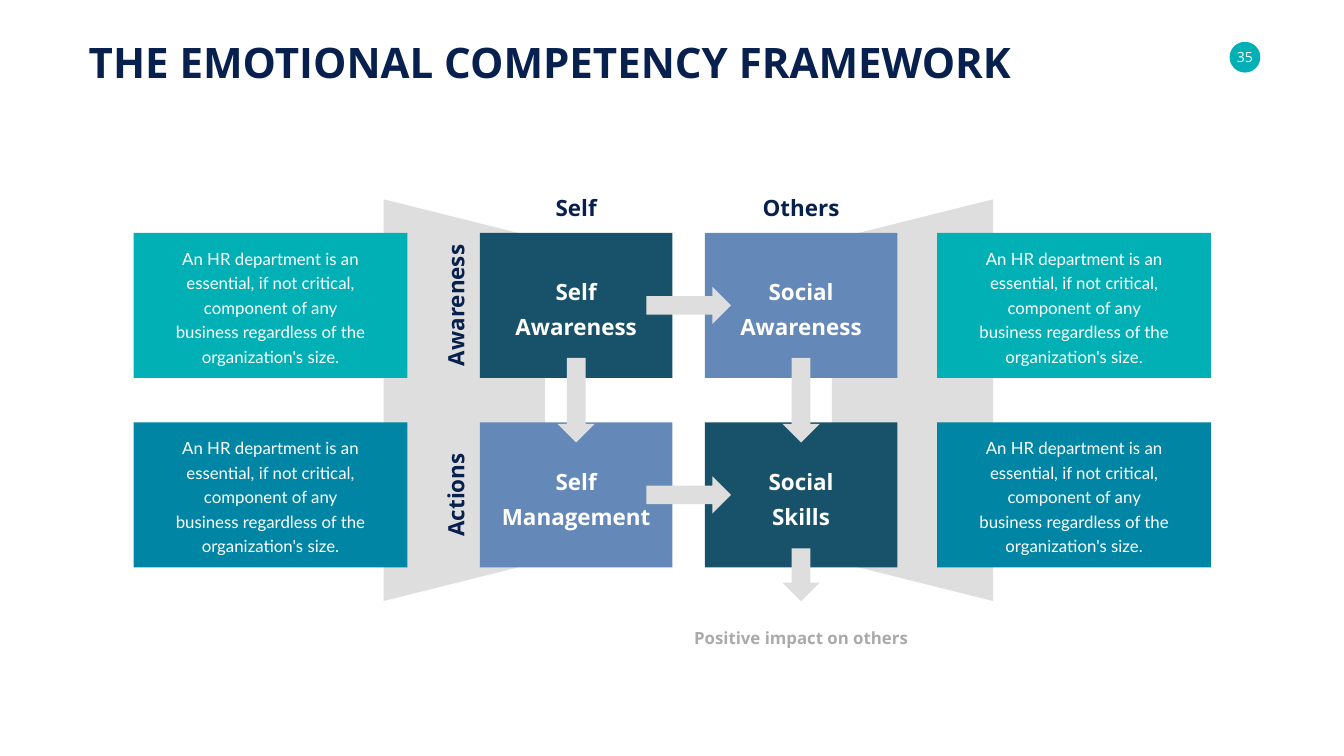
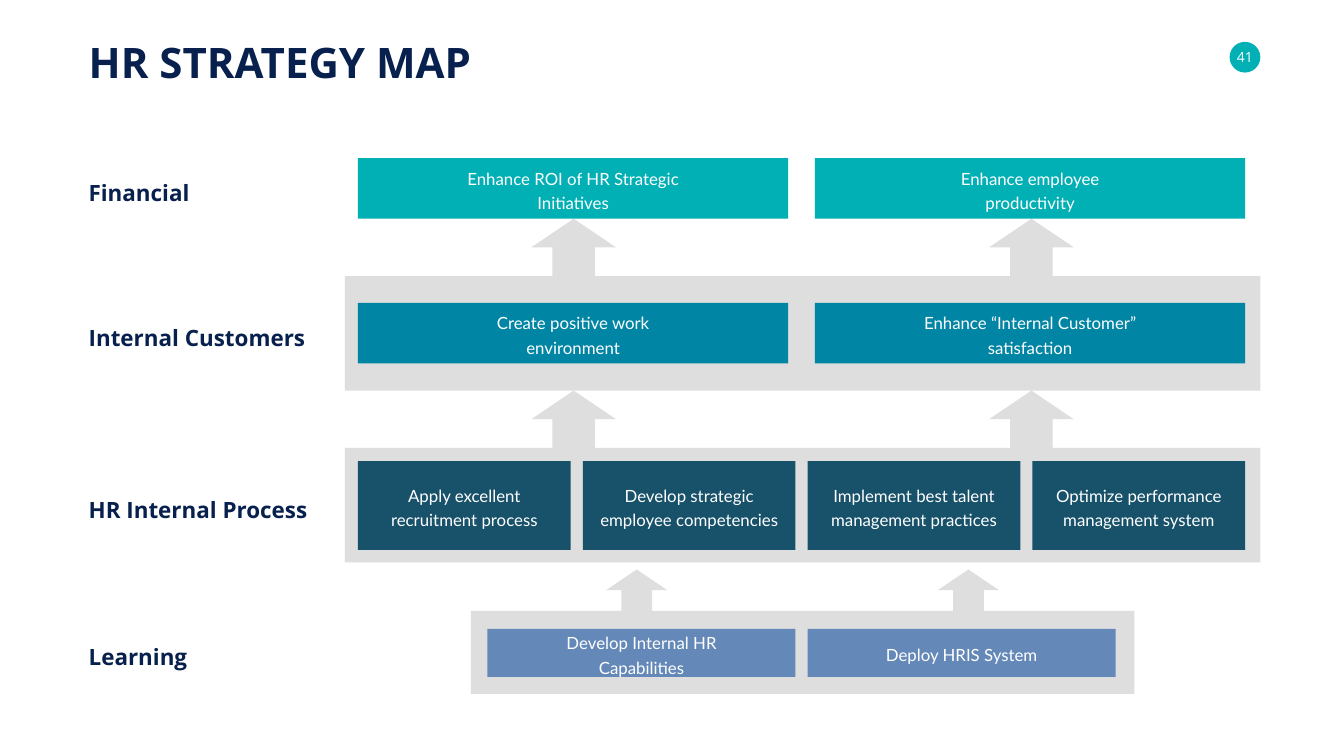
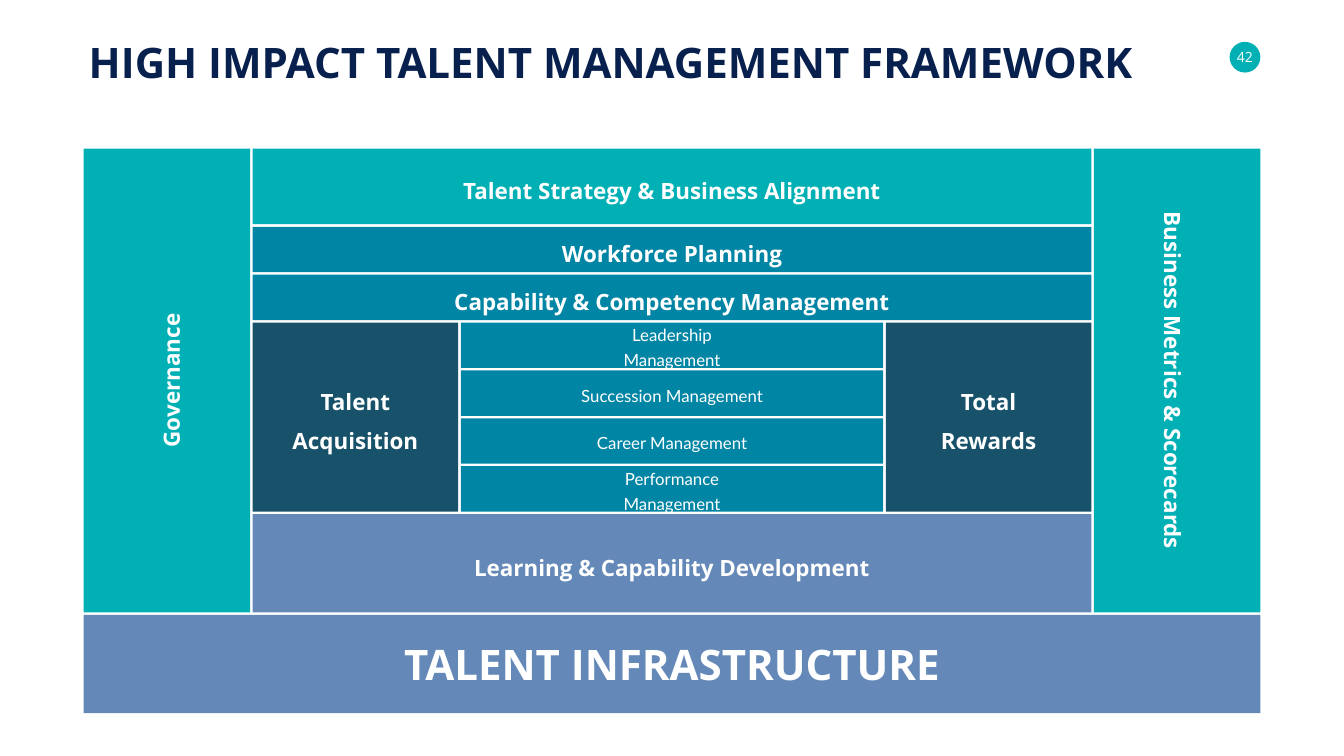
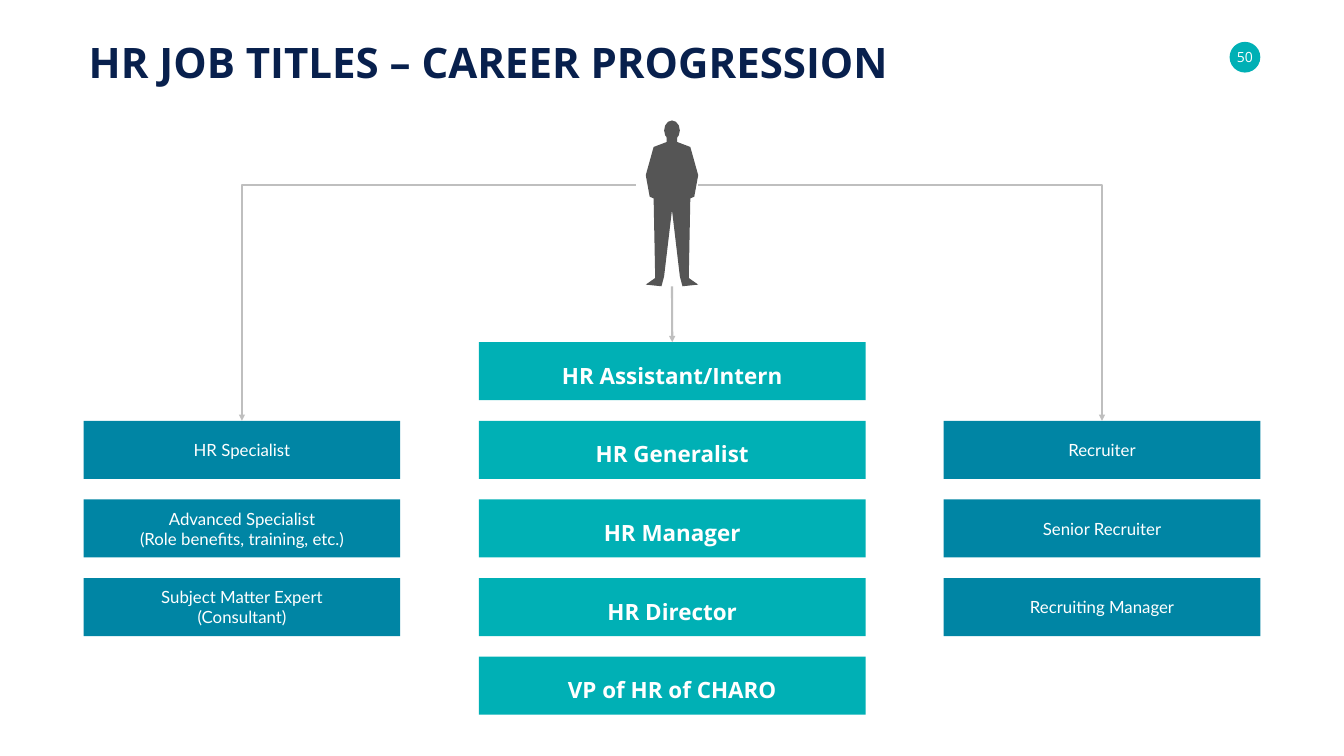
from typing import NamedTuple

from lxml import etree
from pptx import Presentation
from pptx.dml.color import RGBColor
from pptx.enum.shapes import MSO_CONNECTOR, MSO_SHAPE
from pptx.enum.text import MSO_ANCHOR, PP_ALIGN
from pptx.oxml.ns import qn
from pptx.util import Inches, Pt

RECT, OVAL, TRAP = MSO_SHAPE.RECTANGLE, MSO_SHAPE.OVAL, MSO_SHAPE.TRAPEZOID
DOWN, RIGHT = MSO_SHAPE.DOWN_ARROW, MSO_SHAPE.RIGHT_ARROW
ELBOW, STRAIGHT = MSO_CONNECTOR.ELBOW, MSO_CONNECTOR.STRAIGHT
TOP, MIDDLE, BOTTOM = MSO_ANCHOR.TOP, MSO_ANCHOR.MIDDLE, MSO_ANCHOR.BOTTOM
START, CENTER = PP_ALIGN.LEFT, PP_ALIGN.CENTER


class Style(NamedTuple):
    font: str
    size: int
    bold: bool = False
    line: int = 0
    before: int = 0


class Theme:
    navy, white, ash = "08204D", "FFFFFF", "AAAAAA"
    teal, blue, deep, soft = "00B0B5", "0085A4", "18526A", "6488B7"
    pale, rule, dark = "DDDEDD", "BFBFBF", "555555"
    title = Style("Open Sans", 60, True)
    head = Style("Open Sans", 32, True, 50)
    band = Style("Open Sans", 32, True, 50, 6)
    note = Style("Open Sans", 24, True, 35)
    body = Style("Lato", 24, False, 35, 6)
    role = Style("Lato", 24)
    badge = Style("Open Sans", 20)


T = Theme
W, H = 26.66, 15
LEFT, EDGE = 1.66, 25
SPAN = EDGE - LEFT


def box(slide, at, fill=None, text="", style=T.head, ink=T.white, kind=RECT,
        room=None, align=CENTER, anchor=MIDDLE, vert=None):
    """Add a filled shape, or a plain text box; room is the width left to the text."""
    place = [Inches(v) for v in at]
    if fill:
        shape = slide.shapes.add_shape(kind, *place)
        shape.shadow.inherit = False
        shape.fill.solid()
        shape.fill.fore_color.rgb = RGBColor.from_string(fill)
        shape.line.fill.background()
    else:
        shape = slide.shapes.add_textbox(*place)
    if not text:
        return shape
    frame = shape.text_frame
    frame.word_wrap = True
    frame.vertical_anchor = anchor
    frame.margin_left = frame.margin_right = Inches((at[2] - room) / 2 if room else 0.1)
    frame.margin_top = frame.margin_bottom = Inches(0.05)
    if vert:
        frame._txBody.bodyPr.set("vert", vert)
    frame.text = text
    for para in frame.paragraphs:
        para.alignment = align
        para.font.name, para.font.size = style.font, Pt(style.size)
        para.font.bold = style.bold
        para.font.color.rgb = RGBColor.from_string(ink)
        para.space_before = Pt(style.before)
        if style.line:
            para.line_spacing = Pt(style.line)
    return shape


def trace(slide, edge, fill):
    """Draw a closed outline, given in inches, as a filled shape."""
    edge = [(Inches(x), Inches(y)) for x, y in edge]
    pen = slide.shapes.build_freeform(*edge[0])
    pen.add_line_segments(edge[1:])
    shape = pen.convert_to_shape()
    shape.shadow.inherit = False
    shape.fill.solid()
    shape.fill.fore_color.rgb = RGBColor.from_string(fill)
    shape.line.fill.background()


deck = Presentation()
deck.slide_width, deck.slide_height = Inches(W), Inches(H)

# Titles and page badges
disc = 0.61
slides = []
for name, page in [("THE EMOTIONAL COMPETENCY FRAMEWORK", "35"),
                   ("HR STRATEGY MAP", "41"),
                   ("HIGH IMPACT TALENT MANAGEMENT FRAMEWORK", "42"),
                   ("HR JOB TITLES – CAREER PROGRESSION", "50")]:
    slide = deck.slides.add_slide(deck.slide_layouts[5])
    title = slide.shapes.title
    title.left, title.top = Inches(LEFT), Inches(0.67)
    title.width, title.height = Inches(21.5), Inches(1.11)
    title.text_frame.text = name
    title.text_frame.vertical_anchor = TOP
    para = title.text_frame.paragraphs[0]
    para.alignment = START
    para.font.name, para.font.size = T.title.font, Pt(T.title.size)
    para.font.bold = T.title.bold
    para.font.color.rgb = RGBColor.from_string(T.navy)
    box(slide, (EDGE - disc, 0.83, disc, disc), T.teal, page, T.badge, kind=OVAL, room=disc)
    slides.append(slide)
skills, plan, frame, career = slides

# Emotional competency: a two by two grid with notes on both sides
cols, rows = (9.52, 13.98), (4.62, 8.38)
wide, high, thick = 3.82, 2.88, 0.74
mids = [x + wide / 2 for x in cols]
waist = (rows[0] + rows[1] + high) / 2
long, deep = 7.97, 3.2
for mid, turn in [(18.1, 270), (9.21, 90)]:
    wing = box(skills, (mid - long / 2, waist - deep / 2, long, deep), T.pale, kind=TRAP)
    wing.rotation = turn

cards = [["Self\nAwareness", "Social\nAwareness"], ["Self\nManagement", "Social\nSkills"]]
for r, y in enumerate(rows):
    for c, x in enumerate(cols):
        box(skills, (x, y, wide, high), T.deep if r == c else T.soft, cards[r][c])
for x, label in zip(cols, ("Self", "Others")):
    box(skills, (x, 3.7, wide, thick), None, label, ink=T.navy, anchor=BOTTOM)
for y, label in zip(rows, ("Awareness", "Actions")):
    box(skills, (8.61, y, thick, high), None, label, ink=T.navy, anchor=BOTTOM, vert="vert270")

reach = 1.68
for mid in mids:
    box(skills, (mid - thick / 2, waist - reach / 2, thick, reach), T.pale, kind=DOWN)
for y in rows:
    box(skills, (sum(mids) / 2 - reach / 2, y + (high - thick) / 2, reach, thick),
        T.pale, kind=RIGHT)
box(skills, (mids[1] - thick / 2, 10.88, thick, 1.05), T.pale, kind=DOWN)
box(skills, (mids[1] - 2.25, 12.32, 4.5, 0.56), None, "Positive impact on others",
    T.note, T.ash, anchor=TOP)

about = ("An HR department is an essential, if not critical, component of any "
         "business regardless of the organization's size.")
for x in (18.59, 2.65):
    for y, fill in zip(rows, (T.teal, T.blue)):
        box(skills, (x, y, 5.43, high), fill, about, T.body, room=3.86)

# Strategy map: panels whose two arrows point at the row above
for x, y, w, h in [(6.84, 4.34, 18.16, 3.41), (6.84, 7.75, 18.16, 3.41),
                   (9.34, 11.3, 13.16, 2.47)]:
    neck, roof, half = y + h / 6, y + h / 3, w / 43.2
    edge = [(x, y + h), (x, roof)]
    for mid in (x + w / 4, x + 3 * w / 4):
        edge += [(mid - half, roof), (mid - half, neck), (mid - 2 * half, neck), (mid, y),
                 (mid + 2 * half, neck), (mid + half, neck), (mid + half, roof)]
    trace(plan, edge + [(x + w, roof), (x + w, y + h)], T.pale)


class Level(NamedTuple):
    label: str
    left: float
    top: float
    high: float
    gap: float
    room: float
    fill: str
    goals: list


levels = [
    Level("Financial", 7.1, 3.14, 1.2, 0.53, 4.4, T.teal,
          ["Enhance ROI of HR Strategic Initiatives", "Enhance employee productivity"]),
    Level("Internal Customers", 7.1, 6.01, 1.2, 0.53, 4.4, T.blue,
          ["Create positive work environment", "Enhance “Internal Customer” satisfaction"]),
    Level("HR Internal Process", 7.1, 9.15, 1.76, 0.24, 3.6, T.deep,
          ["Apply excellent recruitment process", "Develop strategic employee competencies",
           "Implement best talent management practices",
           "Optimize performance management system"]),
    Level("Learning", 9.67, 12.48, 0.95, 0.24, 4.4, T.soft,
          ["Develop Internal HR Capabilities", "Deploy HRIS System"]),
]
axis = 15.9
for row in levels:
    pitch = (2 * (axis - row.left) + row.gap) / len(row.goals)
    for i, goal in enumerate(row.goals):
        box(plan, (row.left + i * pitch, row.top, pitch - row.gap, row.high),
            row.fill, goal, T.body, room=row.room)
    box(plan, (LEFT, row.top + (row.high - thick) / 2, 5, thick), None, row.label,
        ink=T.navy, align=START)

# Talent framework: blocks set a thin gap apart
gap, roof, bar, slab, side, wing = 0.05, 2.95, 0.9, 1.95, 3.3, 4.08
inner = LEFT + side + gap
core = SPAN - 2 * (side + gap)
step = bar + gap
first = roof + 1.5 + gap
mid = first + 2 * step
base = mid + 4 * step
floor = base + slab + gap
box(frame, (LEFT, floor, SPAN, slab), T.soft, "TALENT INFRASTRUCTURE", T.title)
for y, h, fill, text in [(roof, 1.5, T.teal, "Talent Strategy & Business Alignment"),
                         (first, bar, T.blue, "Workforce Planning"),
                         (first + step, bar, T.blue, "Capability & Competency Management"),
                         (base, slab, T.soft, "Learning & Capability Development")]:
    box(frame, (inner, y, core, h), fill, text, T.band)
for i, (text, room) in enumerate([("Leadership Management", 3.5), ("Succession Management", 4),
                                  ("Career Management", 4), ("Performance Management", 3.5)]):
    box(frame, (inner + wing + gap, mid + i * step, core - 2 * (wing + gap), bar),
        T.blue, text, T.body, room=room)
for x, text in [(inner, "Talent\nAcquisition"), (inner + core - wing, "Total\nRewards")]:
    box(frame, (x, mid, wing, 4 * step - gap), T.deep, text, T.band)
for x, text, vert in [(LEFT, "Governance", "vert270"),
                      (EDGE - side, "Business Metrics & Scorecards", "vert")]:
    box(frame, (x, roof, side, floor - gap - roof), T.teal, text, T.band, vert=vert)

# Career progression: a main ladder with a branch on each side
high, step, start, wide = 1.15, 1.56, 6.79, 6.28
main = ["HR Assistant/Intern", "HR Generalist", "HR Manager", "HR Director", "VP of HR of CHARO"]
expert = ["HR Specialist", "Advanced Specialist\n(Role benefits, training, etc.)",
          "Subject Matter Expert\n(Consultant)"]
scout = ["Recruiter", "Senior Recruiter", "Recruiting Manager"]
heads = []
for x, w, row, fill, style, jobs in [(9.5, 7.67, 0, T.teal, T.head, main),
                                     (LEFT, wide, 1, T.blue, T.role, expert),
                                     (EDGE - wide, wide, 1, T.blue, T.role, scout)]:
    steps = [box(career, (x, start + (row + i) * step, w, high), fill, job, style)
             for i, job in enumerate(jobs)]
    heads.append(steps[0])

# A standing figure: a round head on one half of a body, mirrored
mid, crown, half, tall = W / 2, 2.39, 0.52, 3.29
marks = {  # shares of half the width and of the height
    "neck": (0.2, 0.1), "collar": (0.2, 0.13), "shoulder": (0.7, 0.16),
    "elbow": (1, 0.33), "cuff": (0.85, 0.46), "hip": (0.7, 0.47),
    "ankle": (0.64, 0.95), "toe": (1, 0.99), "heel": (0.4, 1),
    "shin": (0.3, 0.94), "crotch": (0, 0.54),
}
flank = [(half * x, crown + tall * y) for x, y in marks.values()]
trace(career, [(mid + x, y) for x, y in flank] + [(mid - x, y) for x, y in flank[::-1]], T.dark)
box(career, (mid - 0.3 * half, crown, 0.6 * half, 0.12 * tall), T.dark, kind=OVAL)

for kind, x, y, goal in [(STRAIGHT, mid, crown + tall, heads[0]),
                         (ELBOW, 12.61, 3.68, heads[1]), (ELBOW, 13.85, 3.68, heads[2])]:
    link = career.shapes.add_connector(kind, Inches(x), Inches(y),
                                       goal.left + goal.width // 2, goal.top)
    link.line.color.rgb = RGBColor.from_string(T.rule)
    link.line.width = Pt(3)
    shape = link._element.spPr
    etree.SubElement(shape.find(qn("a:ln")), qn("a:tailEnd"), type="triangle")
    etree.SubElement(shape, qn("a:effectLst"))
    if kind == ELBOW:
        shape.find(qn("a:prstGeom")).set("prst", "bentConnector2")
    else:
        link.end_connect(goal, 0)

deck.save("out.pptx")
